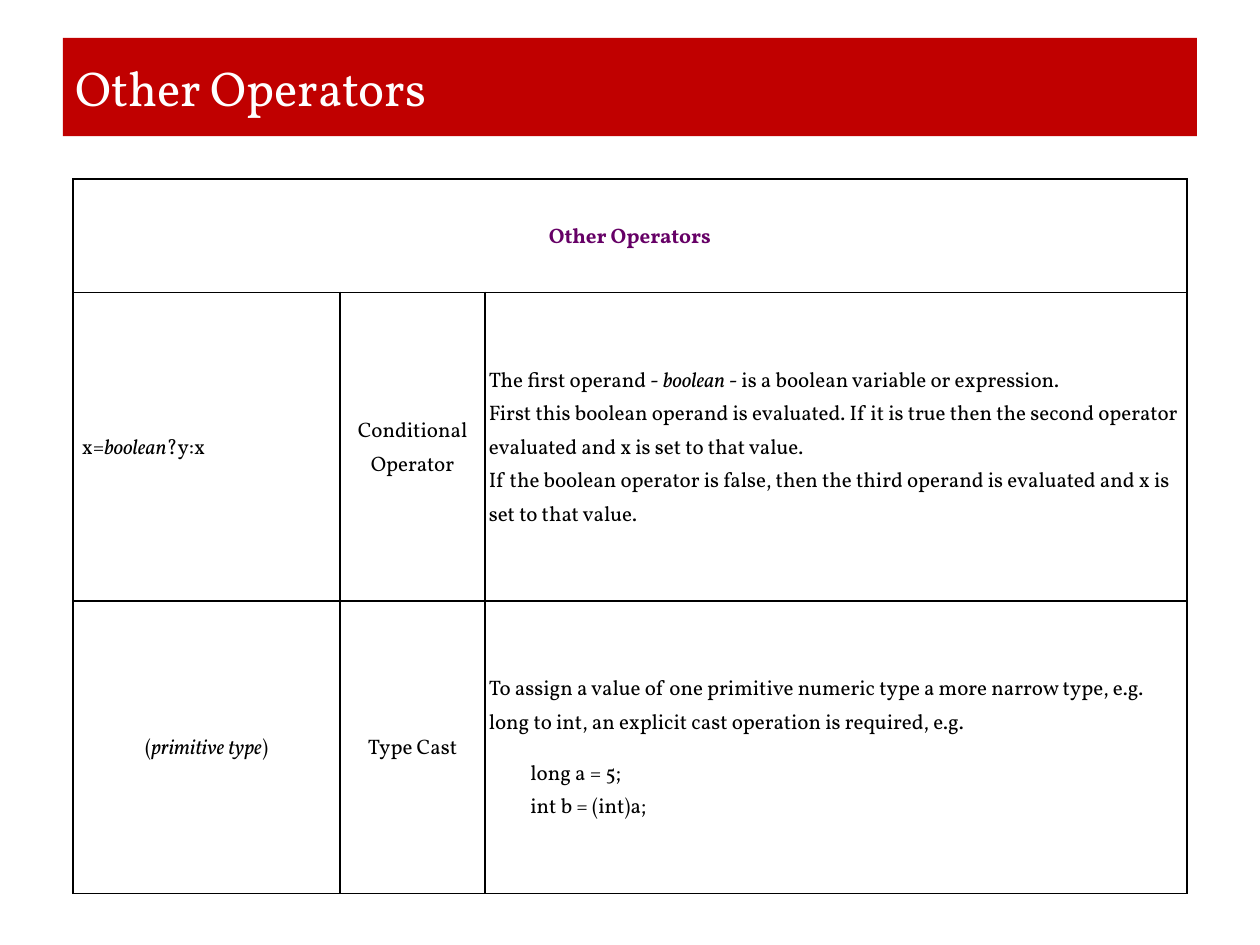
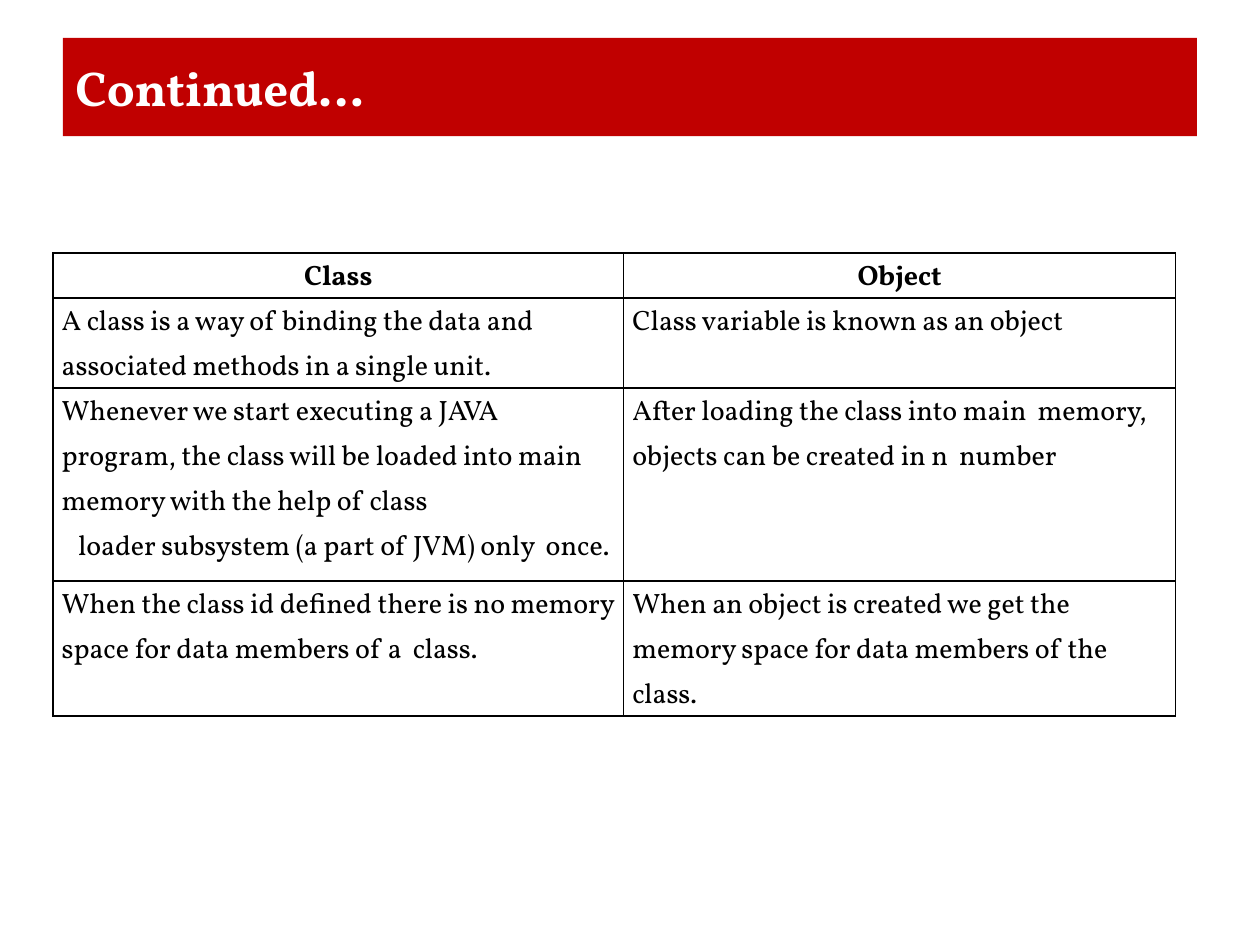
from dataclasses import dataclass

from lxml.etree import SubElement
from pptx import Presentation
from pptx.dml.color import RGBColor
from pptx.enum.shapes import MSO_SHAPE
from pptx.enum.text import MSO_ANCHOR, PP_ALIGN
from pptx.oxml import parse_xml
from pptx.oxml.ns import nsdecls, qn
from pptx.util import Inches, Pt

RED = RGBColor(0xC0, 0x00, 0x00)
WHITE = RGBColor(0xFF, 0xFF, 0xFF)
BLACK = RGBColor(0x00, 0x00, 0x00)
PURPLE = RGBColor(0x66, 0x00, 0x66)
FONT = "Vollkorn"
BAND = (0.5, 0.3, 9, 0.78)


@dataclass
class Para:
    runs: tuple
    center: bool = False
    indent: float = 0
    after: int = 0


@dataclass
class Look:
    size: int
    head: RGBColor
    fill: RGBColor | None
    pad: tuple
    anchor: MSO_ANCHOR


def left(*runs, **opts):
    return Para(runs, **opts)


def mid(*runs):
    return Para(runs, center=True)


def ital(text):
    return (text, True)


def add_run(para, text, size, color, bold=False, italic=False):
    for i, line in enumerate(text.split("\n")):
        if i:
            para.add_line_break()
        run = para.add_run()
        run.text = line
        font = run.font
        font.name, font.size = FONT, Pt(size)
        font.bold, font.italic = bold, italic
        font.color.rgb = color


def add_title(slide, text, box, bold=False):
    band = slide.shapes.add_shape(MSO_SHAPE.RECTANGLE, *map(Inches, box))
    band.shadow.inherit = False
    band.fill.solid()
    band.fill.fore_color.rgb = RED
    band.line.fill.background()
    frame = band.text_frame
    frame.word_wrap = True
    frame.vertical_anchor = MSO_ANCHOR.MIDDLE
    para = frame.paragraphs[0]
    para.alignment = PP_ALIGN.LEFT
    add_run(para, text, 28, WHITE, bold)


def add_edges(cell):
    props = cell._tc.get_or_add_tcPr()
    for i, side in enumerate("LRTB"):
        edge = parse_xml(f'<a:ln{side} {nsdecls("a")} w="{Pt(1)}"/>')
        fill = SubElement(edge, qn("a:solidFill"))
        SubElement(fill, qn("a:srgbClr"), val=str(BLACK))
        props.insert(i, edge)


def fill_cell(cell, paras, look, head):
    side, top = map(Inches, look.pad)
    cell.margin_left = cell.margin_right = side
    cell.margin_top = cell.margin_bottom = top
    cell.vertical_anchor = look.anchor
    if look.fill is None:
        cell.fill.background()
    else:
        cell.fill.solid()
        cell.fill.fore_color.rgb = look.fill
    add_edges(cell)
    frame = cell.text_frame
    for i, item in enumerate(paras):
        para = frame.add_paragraph() if i else frame.paragraphs[0]
        para.alignment = PP_ALIGN.CENTER if item.center else PP_ALIGN.LEFT
        para.line_spacing = 1.15
        para.space_after = Pt(item.after)
        if item.indent:
            para._p.get_or_add_pPr().set("marL", str(Inches(item.indent)))
        for run in item.runs:
            text, slant = (run, False) if isinstance(run, str) else run
            add_run(para, text, look.size, look.head if head else BLACK, head, slant)


def add_grid(slide, spot, cols, rows, cells, look):
    box = (*spot, sum(cols), sum(rows))
    table = slide.shapes.add_table(len(rows), len(cols), *map(Inches, box)).table
    table.first_row = table.horz_banding = False
    for col, width in zip(table.columns, cols):
        col.width = Inches(width)
    for row, height in zip(table.rows, rows):
        row.height = Inches(height)
    for r, line in enumerate(cells):
        if len(line) < len(cols):
            table.cell(r, 0).merge(table.cell(r, len(cols) - 1))
        for c in range(len(cols)):
            paras = line[c] if c < len(line) else []
            fill_cell(table.cell(r, c), paras, look, r == 0)


def add_other(slide):
    add_title(slide, "Other Operators", BAND)
    look = Look(12, PURPLE, WHITE, (0.03, 0.03), MSO_ANCHOR.MIDDLE)
    cells = [
        [[mid("Other Operators")]],
        [
            [left("x=", ital("boolean"), "?y:x", indent=0.04)],
            [mid("Conditional\nOperator")],
            [left(
                "The first operand - ", ital("boolean"),
                " - is a boolean variable or expression.\n"
                "First this boolean operand is evaluated. If it is true then "
                "the second operator evaluated and x is set to that value.\n"
                "If the boolean operator is false, then the third operand is "
                "evaluated and x is set to that value.",
            )],
        ],
        [
            [mid("(", ital("primitive type"), ")")],
            [mid("Type Cast")],
            [
                left("To assign a value of one primitive numeric type a more "
                     "narrow type, e.g. long to int, an explicit cast "
                     "operation is required, e.g.", after=10),
                left("long a = 5;\nint b = (int)a;", indent=0.33, after=10),
            ],
        ],
    ]
    add_grid(slide, (0.58, 1.42), (2.12, 1.15, 5.57), (0.9, 2.45, 2.32), cells, look)


def add_more(slide):
    add_title(slide, "Continued…", BAND, bold=True)
    look = Look(16, BLACK, None, (0.07, 0), MSO_ANCHOR.TOP)
    cells = [
        [[mid("Class")], [mid("Object")]],
        [
            [left("A class is a way of binding the data and associated "
                  "methods in a single unit.")],
            [left("Class variable is known as an object")],
        ],
        [
            [
                left("Whenever we start executing a JAVA program, the class "
                     "will be loaded into main memory with the help of class"),
                left("loader subsystem (a part of JVM) only  once.", indent=0.13),
            ],
            [left("After loading the class into main  memory, objects can be "
                  "created in n  number")],
        ],
        [
            [left("When the class id defined there is no memory space for "
                  "data members of a  class.")],
            [left("When an object is created we get the memory space for "
                  "data members of the class.")],
        ],
    ]
    add_grid(slide, (0.42, 2.01), (4.53, 4.38), (0.31, 0.61, 1.53, 0.92), cells, look)


def main():
    deck = Presentation()
    deck.slide_width, deck.slide_height = Inches(10), Inches(7.5)
    for build in (add_other, add_more):
        build(deck.slides.add_slide(deck.slide_layouts[6]))
    deck.save("out.pptx")


if __name__ == "__main__":
    main()
